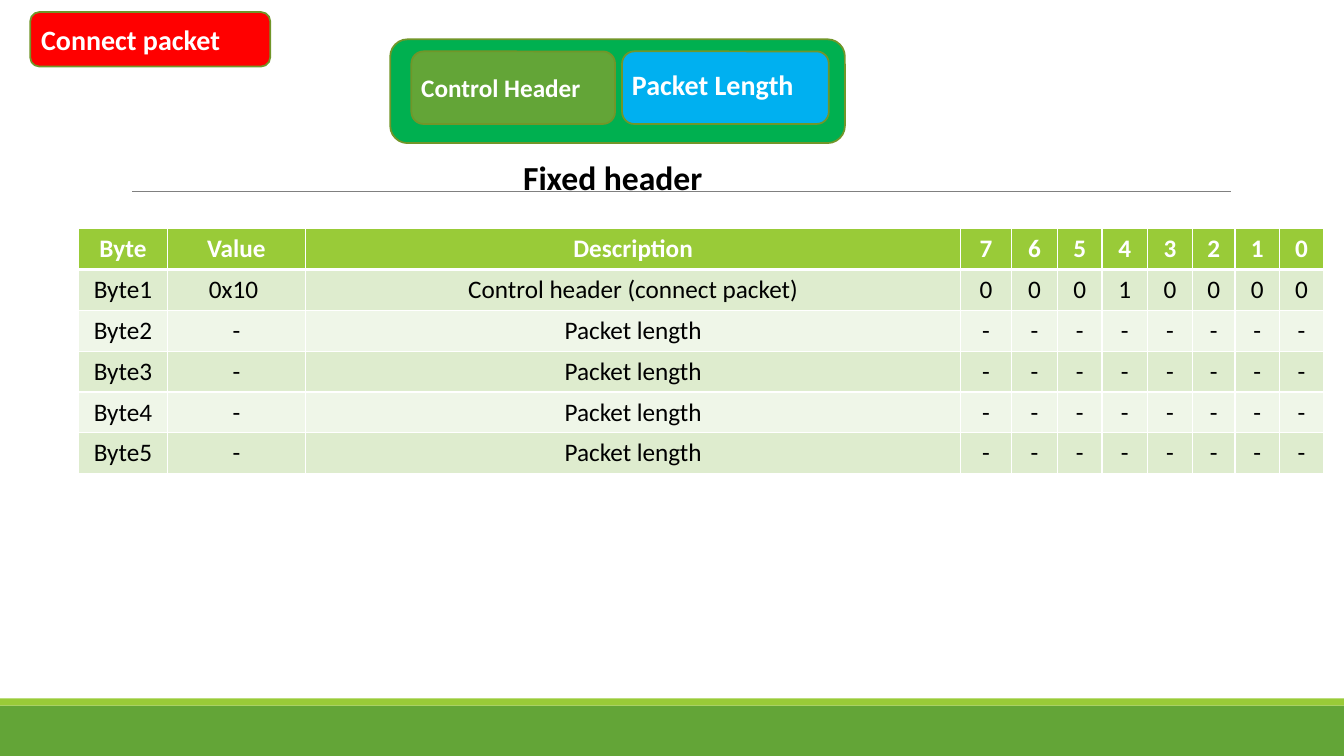
import pptx
import pptx.dml.color
import pptx.enum.shapes
import pptx.enum.text
import pptx.oxml
import pptx.oxml.ns
import pptx.util

Inches = pptx.util.Inches
Pt = pptx.util.Pt
PRESETS = pptx.enum.shapes.MSO_SHAPE
NAMESPACE = pptx.oxml.ns.nsdecls("a")

COLOURS = {
    "white": "FFFFFF", "black": "000000", "grey": "808080",
    "green": "63A537", "lime": "99CB38", "outline": "719629",
    "red": "FF0000", "emerald": "00B050", "blue": "00B0F0",
    "odd_row": "DEECCE", "even_row": "EFF6E8",
}


class PacketSlide:
    """Draws styled elements on one slide of a packet format deck."""

    def __init__(self, slide, font="Calibri"):
        self.slide = slide
        self.font = font

    def colour(self, name):
        return pptx.dml.color.RGBColor.from_string(COLOURS[name])

    def paint(self, fill, colour):
        fill.solid()
        fill.fore_color.rgb = self.colour(colour)

    def add_words(self, paragraph, text, size, colour, bold):
        run = paragraph.add_run()
        run.text = text
        values = {"name": self.font, "size": Pt(size), "bold": bold}
        for attribute, value in values.items():
            setattr(run.font, attribute, value)
        run.font.color.rgb = self.colour(colour)

    def block(self, preset, box, fill, outline=None):
        block = self.slide.shapes.add_shape(preset, *map(Inches, box))
        block.shadow.inherit = False
        self.paint(block.fill, fill)
        if outline:
            block.line.color.rgb = self.colour(outline)
            block.line.width = Pt(1.25)
        else:
            block.line.fill.background()

    def label(self, text, box, size, colour="white", wrap=True):
        label = self.slide.shapes.add_textbox(*map(Inches, box))
        label.text_frame.word_wrap = wrap
        label.text_frame.auto_size = pptx.enum.text.MSO_AUTO_SIZE.SHAPE_TO_FIT_TEXT
        self.add_words(label.text_frame.paragraphs[0], text, size, colour, True)

    def rule(self, left, right, height):
        rule = self.slide.shapes.add_connector(
            pptx.enum.shapes.MSO_CONNECTOR.STRAIGHT,
            *map(Inches, (left, height, right, height)))
        rule.line.color.rgb = self.colour("grey")
        rule.line.width = Pt(0.5)
        rule._element.spPr.append(pptx.oxml.parse_xml(f"<a:effectLst {NAMESPACE}/>"))

    def border(self, cell, edge, width):
        cell._tc.get_or_add_tcPr().append(pptx.oxml.parse_xml(
            f'<a:{edge} {NAMESPACE} w="{int(Pt(width))}"><a:solidFill>'
            f'<a:srgbClr val="{COLOURS["white"]}"/></a:solidFill></a:{edge}>'))

    def table(self, rows, left, top, widths, height):
        table = self.slide.shapes.add_table(
            len(rows), len(widths), Inches(left), Inches(top),
            Inches(sum(widths)), Inches(height)).table
        for column, width in zip(table.columns, widths):
            column.width = Inches(width)
        for row_index, row in enumerate(rows):
            header = row_index == 0
            fill = "lime" if header else ("even_row", "odd_row")[row_index % 2]
            edges = {"lnL": 1, "lnR": 1, "lnT": 3 if row_index == 1 else 1,
                     "lnB": 3 if header else 1}
            for column_index, text in enumerate(row):
                cell = table.cell(row_index, column_index)
                for edge, width in edges.items():
                    self.border(cell, edge, width)
                self.paint(cell.fill, fill)
                paragraph = cell.text_frame.paragraphs[0]
                paragraph.alignment = pptx.enum.text.PP_ALIGN.CENTER
                self.add_words(paragraph, text, 18, "white" if header else "black", header)


def main():
    deck = pptx.Presentation()
    deck.slide_width = Inches(13.33)
    deck.slide_height = Inches(7.5)
    page = PacketSlide(deck.slides.add_slide(deck.slide_layouts[6]))

    page.block(PRESETS.RECTANGLE, (0, 7, 13.33, 0.5), "green")
    page.block(PRESETS.RECTANGLE, (0, 6.93, 13.33, 0.07), "lime")
    page.rule(1.31, 12.21, 1.9)

    for box, fill in (
        ((0.3, 0.12, 2.38, 0.54), "red"),
        ((3.87, 0.39, 4.51, 1.03), "emerald"),
        ((4.08, 0.51, 2.02, 0.72), "green"),
        ((6.17, 0.51, 2.05, 0.72), "blue"),
    ):
        page.block(PRESETS.ROUNDED_RECTANGLE, box, fill, "outline")

    page.label("Connect packet", (0.31, 0.17, 2.43, 0.44), 20, wrap=False)
    page.label("Fixed header", (5.09, 1.51, 2.57, 0.5), 24, "black")
    page.label("Control Header", (4.08, 0.67, 2.16, 0.4), 18)
    page.label("Packet Length", (6.17, 0.62, 2.36, 0.44), 20)

    rows = [["Byte", "Value", "Description", *"76543210"],
            ["Byte1", "0x10 ", "Control header (connect packet)", *"00010000"]]
    rows += [[f"Byte{number}", "-", "Packet length", *"-" * 8] for number in range(2, 6)]
    widths = [0.88, 1.37, 6.5, 0.5, 0.46, 0.44, 0.45, 0.45, 0.42, 0.44, 0.44]
    page.table(rows, 0.78, 2.27, widths, 2.43)

    deck.save("out.pptx")


if __name__ == "__main__":
    main()
